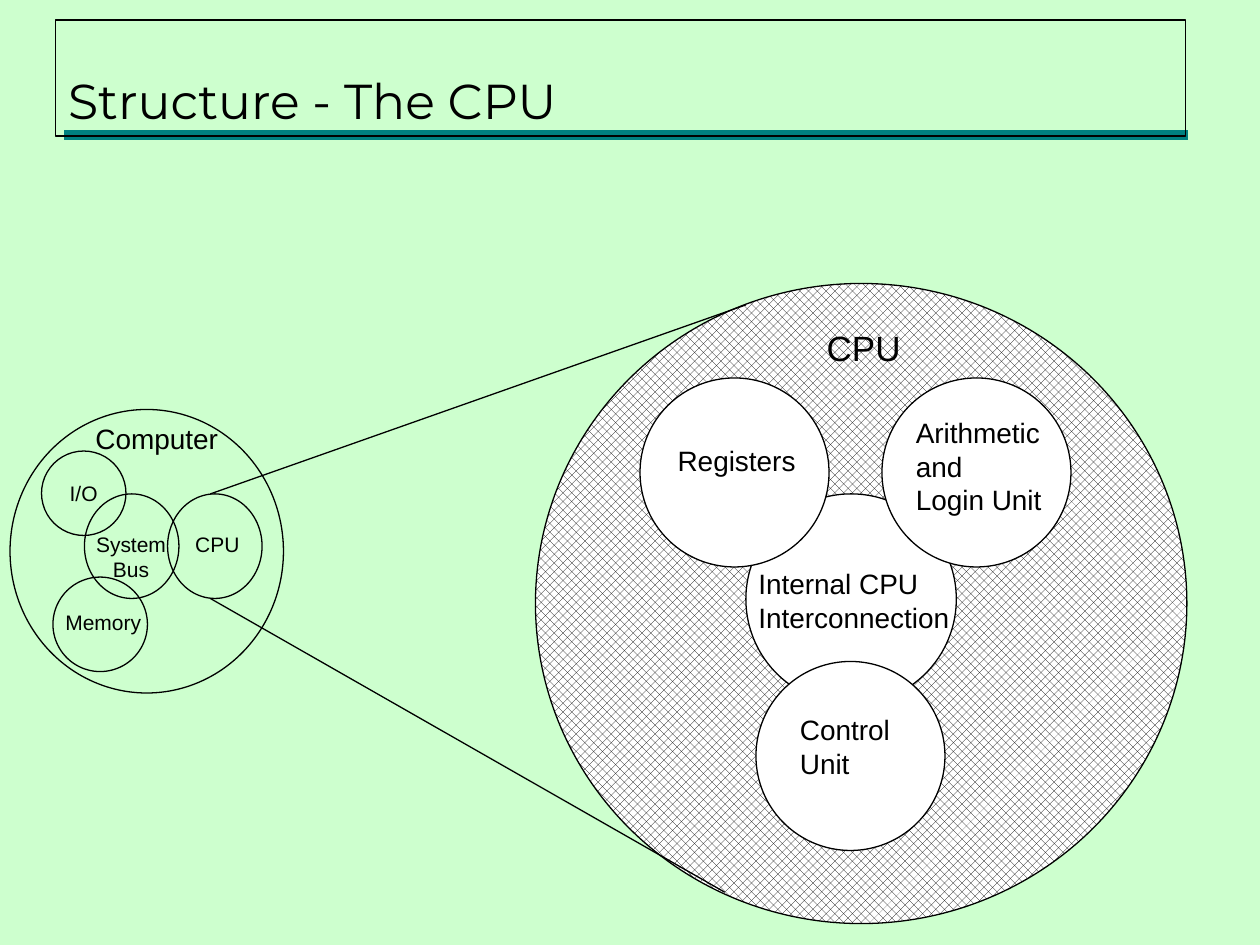
from dataclasses import dataclass

from lxml.etree import SubElement
from pptx import Presentation
from pptx.dml.color import RGBColor
from pptx.enum.dml import MSO_PATTERN
from pptx.enum.shapes import MSO_CONNECTOR, MSO_SHAPE
from pptx.enum.text import MSO_ANCHOR, MSO_AUTO_SIZE, PP_ALIGN
from pptx.oxml.ns import qn
from pptx.util import Inches, Pt


@dataclass(frozen=True)
class Theme:
    background: RGBColor = RGBColor(0xCD, 0xFF, 0xCE)
    ink: RGBColor = RGBColor(0, 0, 0)
    paper: RGBColor = RGBColor(255, 255, 255)
    rule: RGBColor = RGBColor(0, 0x80, 0x80)
    title_font: str = "Montserrat"
    label_font: str = "Arial"
    title_size: Pt = Pt(28)
    heading_size: Pt = Pt(20)
    label_size: Pt = Pt(16)
    small_size: Pt = Pt(12)
    outline: Pt = Pt(0.75)
    rule_width: Pt = Pt(6)


theme = Theme()


def write_lines(frame, lines, font_name, size, align, anchor):
    frame.vertical_anchor = anchor
    for index, line in enumerate(lines):
        para = frame.paragraphs[0] if index == 0 else frame.add_paragraph()
        para.alignment = align
        span = para.add_run()
        span.text = line
        span.font.name = font_name
        span.font.size = size
        span.font.color.rgb = theme.ink


def draw_line(start, end, color, width):
    connector = page.shapes.add_connector(
        MSO_CONNECTOR.STRAIGHT, *map(Inches, start + end))
    connector.line.color.rgb = color
    connector.line.width = width
    SubElement(connector.element.spPr, qn("a:effectLst"))
    return connector


deck = Presentation()
deck.slide_width = Inches(10)
deck.slide_height = Inches(7.5)
page = deck.slides.add_slide(deck.slide_layouts[5])
page.background.fill.solid()
page.background.fill.fore_color.rgb = theme.background

title_rule = draw_line((0.51, 1.07), (9.43, 1.07), theme.rule, theme.rule_width)

title = page.shapes.title
title.left, title.top, title.width, title.height = map(Inches, (0.44, 0.16, 8.97, 0.92))
title.line.color.rgb = theme.ink
title.line.width = theme.outline
title.text_frame.word_wrap = True
title.text_frame.auto_size = MSO_AUTO_SIZE.NONE
write_lines(title.text_frame, ["Structure - The CPU"], theme.title_font,
            theme.title_size, PP_ALIGN.LEFT, MSO_ANCHOR.BOTTOM)
title_rule.element.addnext(title.element)

circles = [
    ((4.25, 2.25, 5.17, 5.08), "hatched", None),
    ((5.92, 3.92, 1.67, 1.67), "paper", None),
    ((5.08, 3, 1.5, 1.5), "paper", None),
    ((7, 3, 1.5, 1.5), "paper", None),
    ((6, 5.25, 1.5, 1.5), "paper", None),
    ((0.08, 3.25, 2.17, 2.25), "clear", None),
    ((1.33, 3.92, 0.75, 0.83), "clear", None),
    ((0.33, 3.58, 0.67, 0.67), "clear", "I/O"),
    ((0.42, 4.58, 0.75, 0.75), "clear", None),
    ((0.67, 3.92, 0.75, 0.83), "clear", None),
]
for place, surface, caption in circles:
    circle = page.shapes.add_shape(MSO_SHAPE.OVAL, *map(Inches, place))
    circle.shadow.inherit = False
    circle.line.color.rgb = theme.ink
    circle.line.width = theme.outline
    if surface == "hatched":
        circle.fill.patterned()
        circle.fill.pattern = MSO_PATTERN.PERCENT_50
        circle.fill.fore_color.rgb = theme.ink
        circle.fill.back_color.rgb = theme.paper
    elif surface == "paper":
        circle.fill.solid()
        circle.fill.fore_color.rgb = theme.paper
    else:
        circle.fill.background()
    if caption:
        circle.text_frame.word_wrap = False
        write_lines(circle.text_frame, [caption], theme.label_font,
                    theme.small_size, PP_ALIGN.CENTER, MSO_ANCHOR.MIDDLE)

for start, end in [((1.67, 3.92), (5.92, 2.42)), ((1.67, 4.75), (5.75, 7.08))]:
    draw_line(start, end, theme.ink, theme.outline)

left_top = (PP_ALIGN.LEFT, MSO_ANCHOR.TOP)
centered = (PP_ALIGN.CENTER, MSO_ANCHOR.MIDDLE)
labels = [
    (["Computer"], (0.66, 3.3, 1.2, 0.37), theme.label_size, left_top),
    (["Arithmetic", "and", "Login Unit"], (7.17, 3.25, 1.23, 0.9), theme.label_size, left_top),
    (["Control", "Unit"], (6.25, 5.61, 0.95, 0.64), theme.label_size, left_top),
    (["Internal CPU", "Interconnection"], (5.92, 4.45, 1.75, 0.64), theme.label_size, left_top),
    (["Registers"], (5.28, 3.47, 1.17, 0.37), theme.label_size, left_top),
    (["CPU"], (1.44, 4.17, 0.57, 0.3), theme.small_size, centered),
    (["Memory"], (0.41, 4.79, 0.82, 0.3), theme.small_size, centered),
    (["System", "Bus"], (0.64, 4.17, 0.8, 0.5), theme.small_size, centered),
    (["CPU"], (6.45, 2.54, 0.81, 0.43), theme.heading_size, centered),
]
for lines, place, size, (align, anchor) in labels:
    box = page.shapes.add_textbox(*map(Inches, place))
    box.text_frame.word_wrap = False
    box.text_frame.auto_size = MSO_AUTO_SIZE.SHAPE_TO_FIT_TEXT
    write_lines(box.text_frame, lines, theme.label_font, size, align, anchor)

deck.save("out.pptx")
